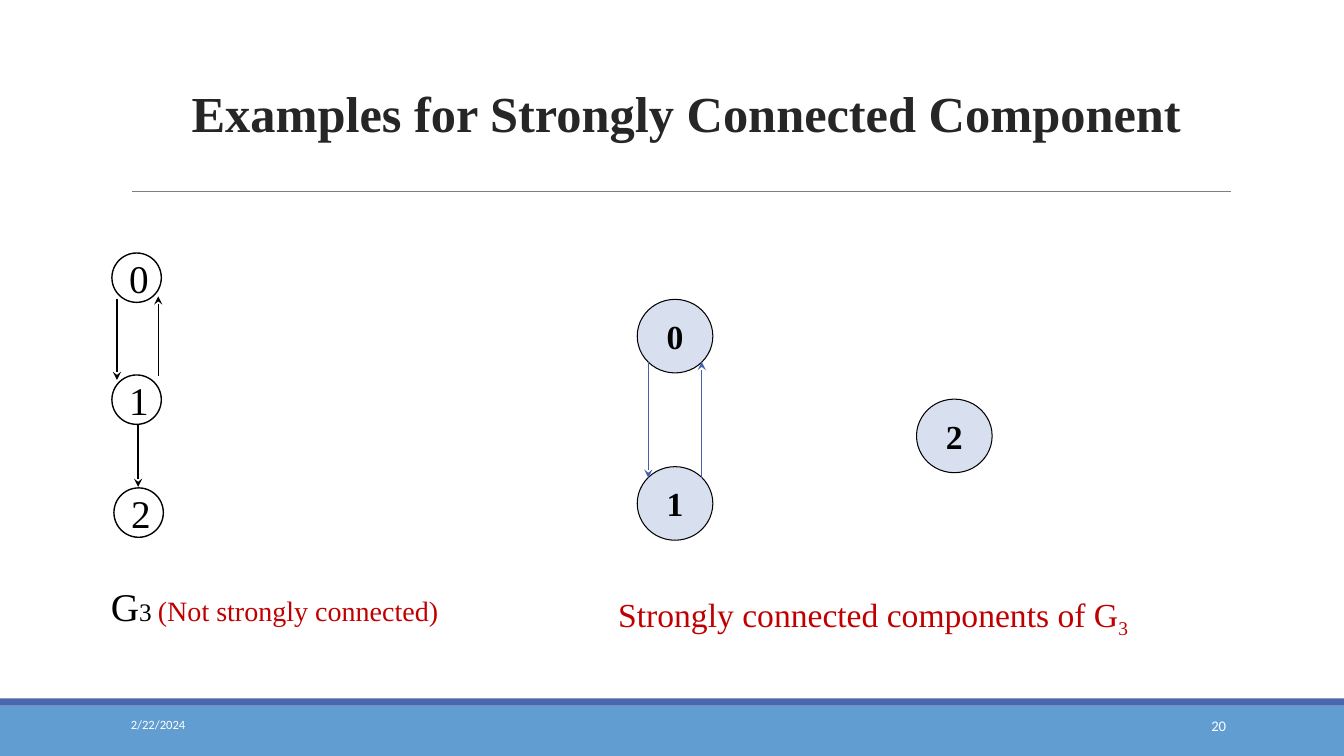
from lxml import etree
from pptx import Presentation
from pptx import util as u
from pptx.dml.color import RGBColor
from pptx.enum import shapes, text
from pptx.oxml.ns import qn

COLORS = {
    "black": "000000", "white": "FFFFFF", "title": "262626", "red": "C00000",
    "rule": "7F7F7F", "band": "629DD1", "stripe": "4A66AC",
    "node": "D8DFEF", "edge": "4561AA",
}
SERIF = "Times New Roman"
SANS = "Calibri"
LEFT, CENTER, RIGHT = text.PP_ALIGN.LEFT, text.PP_ALIGN.CENTER, text.PP_ALIGN.RIGHT
TOP, MIDDLE, BOTTOM = text.MSO_ANCHOR.TOP, text.MSO_ANCHOR.MIDDLE, text.MSO_ANCHOR.BOTTOM


class Builder:
    def __init__(self, prs):
        self.slide = prs.slides.add_slide(prs.slide_layouts[5])

    def color(self, name):
        return RGBColor.from_string(COLORS[name])

    def fill_text(self, sp, runs, align=LEFT, anchor=MIDDLE, font=SERIF, bold=False):
        tf = sp.text_frame
        tf.word_wrap = True
        tf.auto_size = text.MSO_AUTO_SIZE.NONE
        tf.vertical_anchor = anchor
        p = tf.paragraphs[0]
        p.alignment = align
        for content, size, color in runs:
            r = p.add_run()
            r.text = content
            r.font.name = font
            r.font.size = u.Pt(size)
            r.font.bold = bold
            r.font.color.rgb = self.color(color)
        return p

    def title(self, content, box):
        sp = self.slide.shapes.title
        sp.left, sp.top, sp.width, sp.height = map(u.Inches, box)
        p = self.fill_text(sp, [(content, 36, "title")], anchor=BOTTOM, bold=True)
        p.line_spacing = 0.85

    def label(self, runs, box, **style):
        sp = self.slide.shapes.add_textbox(*map(u.Inches, box))
        return self.fill_text(sp, runs, **style)

    def shape(self, kind, box, fill, line=None, width=0.75):
        sp = self.slide.shapes.add_shape(kind, *map(u.Inches, box))
        sp.shadow.inherit = False
        sp.fill.solid()
        sp.fill.fore_color.rgb = self.color(fill)
        if line:
            sp.line.color.rgb = self.color(line)
            sp.line.width = u.Pt(width)
        else:
            sp.line.fill.background()
        return sp

    def bar(self, box, fill):
        self.shape(shapes.MSO_SHAPE.RECTANGLE, box, fill)

    def node(self, content, box, fill, size, width, bold=False):
        sp = self.shape(shapes.MSO_SHAPE.OVAL, box, fill, "black", width)
        self.fill_text(sp, [(content, size, "black")], align=CENTER, bold=bold)

    def line(self, start, end, color, width=0.75, arrow=True):
        points = map(u.Inches, (*start, *end))
        cn = self.slide.shapes.add_connector(shapes.MSO_CONNECTOR.STRAIGHT, *points)
        cn.line.color.rgb = self.color(color)
        cn.line.width = u.Pt(width)
        sp_pr = cn._element.spPr
        if arrow:
            etree.SubElement(sp_pr.find(qn("a:ln")), qn("a:tailEnd"), type="stealth")
        etree.SubElement(sp_pr, qn("a:effectLst"))


def main():
    prs = Presentation()
    prs.slide_width, prs.slide_height = u.Inches(13.33), u.Inches(7.5)
    s = Builder(prs)

    s.bar((0, 7, 13.33, 0.5), "band")
    s.bar((0, 6.93, 13.33, 0.07), "stripe")
    s.line((1.31, 1.9), (12.21, 1.9), "rule", arrow=False)
    s.label([("2/22/2024", 9, "white")], (1.2, 6.99, 2.7, 0.4), font=SANS)
    s.label([("20", 10.5, "white")], (10.83, 7, 1.43, 0.4), align=RIGHT, font=SANS)
    s.title("Examples for Strongly Connected Component", (1.8, 0.41, 11, 1.06))

    for name, x, y in (("0", 6.32, 2.97), ("1", 6.32, 4.63), ("2", 9.09, 3.96)):
        s.node(name, (x, y, 0.75, 0.73), "node", 24, 0.75, bold=True)
    for name, x, y in (("0", 1.11, 2.51), ("1", 1.11, 3.72), ("2", 1.13, 4.84)):
        s.node(name, (x, y, 0.49, 0.49), "white", 28, 1)

    for x, y1, y2 in ((1.37, 4.22, 4.83), (1.57, 3.73, 2.94), (1.16, 2.97, 3.77)):
        s.line((x, y1), (x, y2), "black", 1)
    for x, y1, y2 in ((6.43, 3.59, 4.74), (6.96, 4.74, 3.59)):
        s.line((x, y1), (x, y2), "edge")

    s.label([("G", 28, "black"), ("3 ", 18, "black"),
             ("(Not strongly connected)", 20, "red")],
            (1, 5.73, 3.48, 0.57), anchor=TOP)
    p = s.label([("Strongly connected components of G", 24, "red"), ("3", 24, "red")],
                (5.97, 5.87, 5.38, 0.5), align=CENTER)
    p.runs[1]._r.get_or_add_rPr().set("baseline", "-25000")

    prs.save("out.pptx")


if __name__ == "__main__":
    main()
